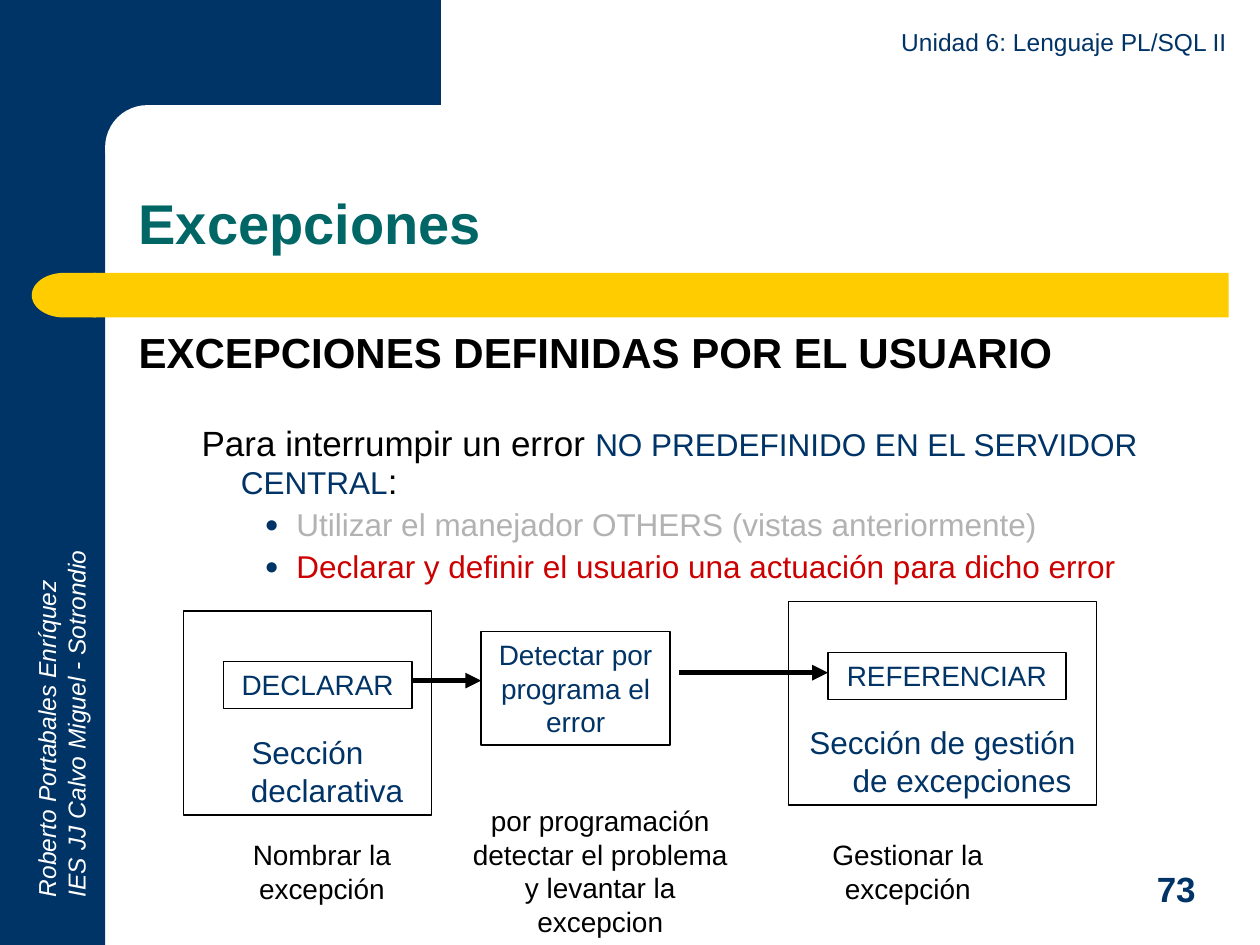
from lxml.etree import SubElement
from pptx import Presentation
from pptx.dml.color import RGBColor
from pptx.enum.shapes import MSO_CONNECTOR as Link, MSO_SHAPE as Form
from pptx.enum.text import MSO_ANCHOR as Anchor, MSO_AUTO_SIZE as Fit, PP_ALIGN as Align
from pptx.oxml.ns import qn
from pptx.util import Cm, Pt

NAVY, GOLD, TEAL = "003366", "FFCC00", "006666"
WHITE, BLACK, GREY, RED = "FFFFFF", "000000", "B2B2B2", "CC0000"


def color(code):
    return RGBColor.from_string(code)


def write(para, text, size=16, fill=NAVY, bold=False, italic=False):
    """Add one formatted run to a paragraph."""
    run = para.add_run()
    run.text = text
    font = run.font
    font.name, font.size = "Arial", Pt(size)
    font.bold, font.italic = bold, italic
    font.color.rgb = color(fill)


def indent(para, left, first, mark=None):
    """Set a paragraph's indents and its bullet, if any."""
    props = para._p.get_or_add_pPr()
    props.set("marL", str(Cm(left)))
    props.set("indent", str(Cm(first)))
    if not mark:
        SubElement(props, qn("a:buNone"))
        return
    tint = SubElement(props, qn("a:buClr"))
    SubElement(tint, qn("a:srgbClr"), val=NAVY)
    SubElement(props, qn("a:buSzPct"), val="75000")
    SubElement(props, qn("a:buFont"), typeface="Arial")
    SubElement(props, qn("a:buChar"), char=mark)


def place(shape, box):
    shape.left, shape.top, shape.width, shape.height = map(Cm, box)


def block(slide, box, fill=None, line=None, form=Form.RECTANGLE):
    """Draw a preset shape with a plain fill or outline."""
    shape = slide.shapes.add_shape(form, *map(Cm, box))
    shape.shadow.inherit = False
    if fill:
        shape.fill.solid()
        shape.fill.fore_color.rgb = color(fill)
    else:
        shape.fill.background()
    if line:
        shape.line.color.rgb = color(line)
        shape.line.width = Pt(0.75)
    else:
        shape.line.fill.background()
    return shape


def fill_text(shape, lines, align=Align.CENTER, anchor=Anchor.TOP, **style):
    """Write lines into a shape, one paragraph each."""
    frame = shape.text_frame
    frame.word_wrap = True
    frame.vertical_anchor = anchor
    for i, line in enumerate(lines):
        para = frame.add_paragraph() if i else frame.paragraphs[0]
        para.alignment = align
        write(para, line, **style)
    return frame.paragraphs[0]


def label(slide, box, lines, **style):
    shape = slide.shapes.add_textbox(*map(Cm, box))
    fill_text(shape, lines, **style)
    return shape


def arrow(slide, x, y, end):
    link = slide.shapes.add_connector(Link.STRAIGHT, Cm(x), Cm(y), Cm(end), Cm(y))
    link.line.color.rgb = color(BLACK)
    link.line.width = Pt(3)
    SubElement(link.line._get_or_add_ln(), qn("a:tailEnd"), type="triangle")
    SubElement(link.element.spPr, qn("a:effectLst"))


def decor(slide, box):
    """Navy corner, gold bar and the texts around the edge."""
    x, y, w, h = box
    side = 2.12
    block(slide, (x, y, side, h), NAVY)
    block(slide, (x + 1.9, y, 6.99, 2.96), NAVY)
    curve = block(slide, (x + side, y + side, 14.18, 1.7), WHITE, form=Form.ROUNDED_RECTANGLE)
    curve.adjustments[0] = 0.5

    # Gold bar with its round end
    block(slide, (x + 1.88, y + 5.5, 22.89, 0.9), GOLD)
    cap = block(slide, (x + 0.64, y + 5.5, 1.3, 0.9), GOLD, form=Form.FLOWCHART_DELAY)
    cap.rotation = 180

    # Author, unit and page
    author = label(slide, (x - 2.97, y + 13.41, 8.41, 1.44),
                   ["Roberto Portabales Enríquez", "IES JJ Calvo Miguel - Sotrondio"],
                   align=Align.LEFT, size=14, fill=WHITE, italic=True)
    author.rotation = 270
    label(slide, (x + w - 16.3, y + 0.4, 15.88, 0.86), ["Unidad 6: Lenguaje PL/SQL II"],
          align=Align.RIGHT, anchor=Anchor.BOTTOM, size=14)
    label(slide, (x + w - 2.33, y + h - 1.7, 1.91, 1.12), ["73"],
          align=Align.LEFT, anchor=Anchor.MIDDLE, size=20, bold=True)


def heading(title, box):
    place(title, box)
    title.text_frame.auto_size = Fit.NONE
    para = fill_text(title, ["Excepciones"], align=Align.LEFT, anchor=Anchor.BOTTOM,
                     size=32, fill=TEAL, bold=True)
    para.line_spacing = 0.9


def points(body, box):
    """Heading, lead sentence and bullets in the body placeholder."""
    place(body, box)
    frame = body.text_frame
    frame.auto_size = Fit.NONE
    # level, left, first, space before, bullet, runs
    rows = [
        (0, 0.95, -0.95, 0, None,
         [("EXCEPCIONES DEFINIDAS POR EL USUARIO", 24, BLACK, True)]),
        (1, 2.06, -0.79, 28, None,
         [("Para interrumpir un error ", 20, BLACK),
          ("NO PREDEFINIDO EN EL SERVIDOR CENTRAL", 18, NAVY),
          (":", 20, BLACK)]),
        (2, 3.18, -0.64, 4.5, "●",
         [("Utilizar el manejador OTHERS (vistas anteriormente)", 18, GREY)]),
        (2, 3.18, -0.64, 4.5, "●",
         [("Declarar y definir el usuario una actuación para dicho error", 18, RED)]),
    ]
    for i, (level, left, first, gap, mark, runs) in enumerate(rows):
        para = frame.add_paragraph() if i else frame.paragraphs[0]
        para.level = level
        indent(para, left, first, mark)
        para.space_before = Pt(gap)
        para.line_spacing = 0.9
        for run in runs:
            write(para, *run)


def diagram(slide, box):
    """Three linked steps, two of them inside a section, with captions."""
    x, y, w, h = box

    # Sections
    for dx, dy, wide, name in [(0, 0.2, 5, "Sección declarativa"),
                               (12.2, 0, 6.2, "Sección de gestión de excepciones")]:
        part = block(slide, (x + dx, y + dy, wide, 4.11), line=BLACK)
        para = fill_text(part, [name], anchor=Anchor.BOTTOM, size=18)
        indent(para, 0.79, -0.79)

    # Steps
    for dx, dy, wide, high, name in [(0.8, 1.22, 3.81, 0.95, "DECLARAR"),
                                     (6, 0.61, 3.81, 2.29, "Detectar por programa el error"),
                                     (12.99, 1.04, 4.8, 0.95, "REFERENCIAR")]:
        step = block(slide, (x + dx, y + dy, wide, high), line=BLACK)
        fill_text(step, [name])

    # Arrows
    arrow(slide, x + 4.61, y + 1.6, x + 6)
    arrow(slide, x + 9.99, y + 1.44, x + 12.99)

    # Captions
    for dx, wide, high, text in [
            (0.59, 4.4, 1.63, "Nombrar la excepción"),
            (5.4, 6, 2.97, "por programación detectar el problema y levantar la excepcion"),
            (12.4, 4.4, 1.63, "Gestionar la excepción")]:
        top = y + h - (high + 5.65) / 2 + 1.35 if high < 2 else y + h - high
        label(slide, (x + dx, top, wide, high), [text], fill=BLACK)


def main():
    deck = Presentation()
    deck.slide_width, deck.slide_height = Cm(25.4), Cm(19.05)
    slide = deck.slides.add_slide(deck.slide_layouts[1])
    title, body = slide.placeholders
    decor(slide, (0, 0, 25.4, 19.05))

    # Bring the placeholders in front of the decoration
    for holder in (title, body):
        slide.shapes.element.append(holder.element)
    heading(title, (2.54, 2.12, 22.23, 3.18))
    points(body, (2.54, 6.56, 22.23, 10.37))
    diagram(slide, (3.7, 12.12, 18.4, 6.93))
    deck.save("out.pptx")


if __name__ == "__main__":
    main()
